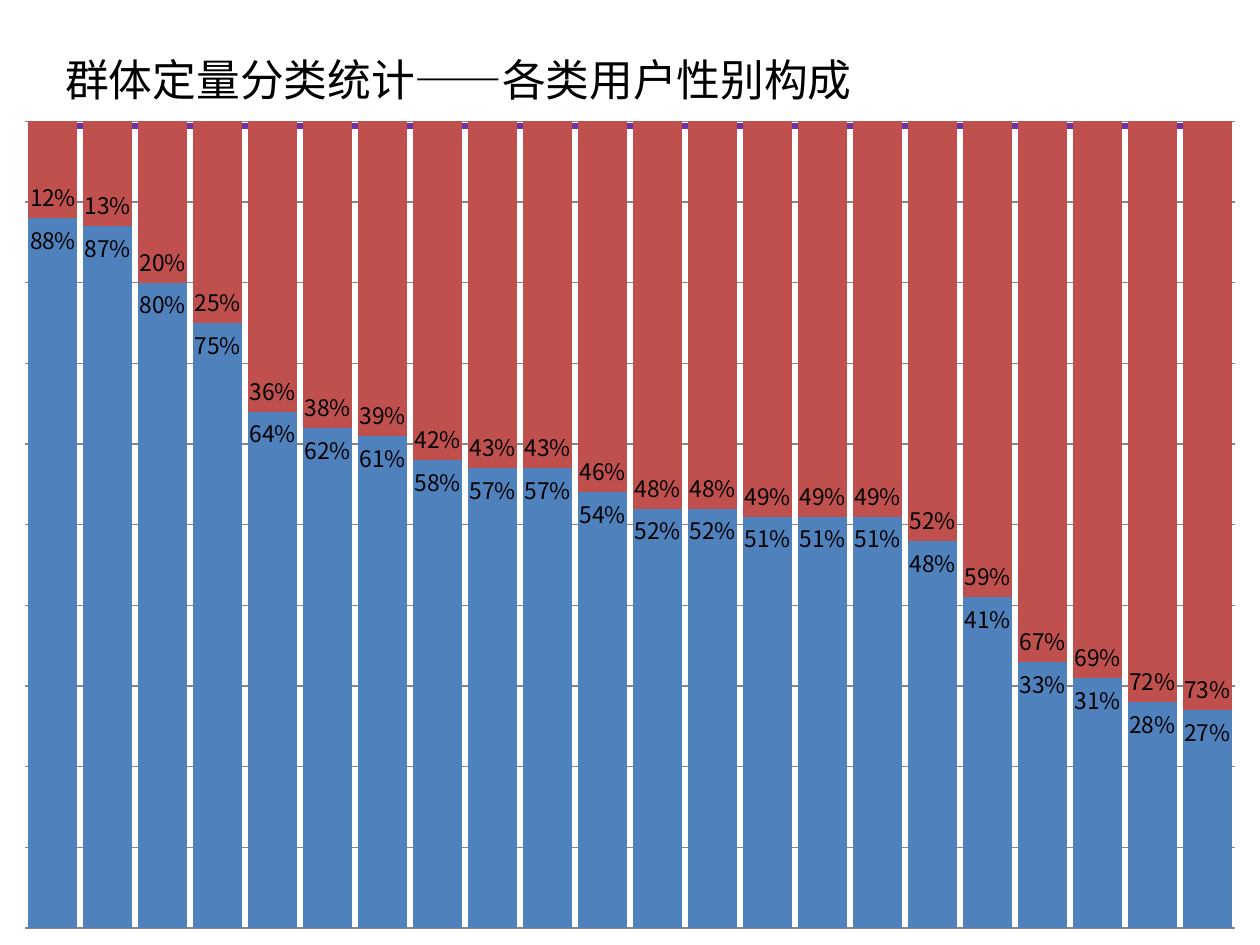
from lxml.etree import SubElement
from pptx import Presentation
from pptx.chart.data import CategoryChartData
from pptx.dml.color import RGBColor
from pptx.enum.chart import XL_CHART_TYPE, XL_LABEL_POSITION
from pptx.enum.shapes import MSO_CONNECTOR
from pptx.enum.text import MSO_ANCHOR
from pptx.oxml.ns import qn
from pptx.util import Inches, Pt

MALE_PERCENT = [88, 87, 80, 75, 64, 62, 61, 58, 57, 57, 54,
                52, 52, 51, 51, 51, 48, 41, 33, 31, 28, 27]


def color(hex_text):
    return RGBColor.from_string(hex_text)


def add_text(paragraph, text, *, font, size, fill):
    run = paragraph.add_run()
    run.text = text
    run.font.size = Pt(size)
    run.font.color.rgb = color(fill)
    run.font.name = font
    east_asian = SubElement(run._r.get_or_add_rPr(), qn("a:ea"))
    east_asian.set("typeface", font)


class SlideBuilder:
    font = "Noto Sans CJK SC"
    text_color = "000000"
    grid_color = "868686"

    def __init__(self, slide):
        self.slide = slide

    def line(self, left, top, right, bottom, stroke, width):
        connector = self.slide.shapes.add_connector(
            MSO_CONNECTOR.STRAIGHT,
            Inches(left), Inches(top), Inches(right), Inches(bottom))
        connector.line.color.rgb = color(stroke)
        connector.line.width = Pt(width)
        SubElement(connector._element.spPr, qn("a:effectLst"))

    def title(self, text, left, top, width, height, size):
        shape = self.slide.shapes.add_textbox(
            Inches(left), Inches(top), Inches(width), Inches(height))
        frame = shape.text_frame
        frame.word_wrap = True
        frame.vertical_anchor = MSO_ANCHOR.MIDDLE
        add_text(frame.paragraphs[0], text, font=self.font, size=size,
                 fill=self.text_color)

    def stacked_chart(self, categories, series_styles, left, top, width, height):
        data = CategoryChartData(number_format="0%")
        data.categories = categories
        for name, values, _, _ in series_styles:
            data.add_series(name, values)
        chart = self.slide.shapes.add_chart(
            XL_CHART_TYPE.COLUMN_STACKED, Inches(left), Inches(top),
            Inches(width), Inches(height), data).chart
        chart.has_title = False
        chart.has_legend = False
        chart.font.name = self.font
        chart.font.size = Pt(13)
        chart.font.color.rgb = color(self.text_color)
        chart.category_axis.visible = False
        axis = chart.value_axis
        axis.visible = False
        axis.minimum_scale = 0
        axis.maximum_scale = 1
        axis.major_unit = 0.1
        axis.has_major_gridlines = True
        axis.major_gridlines.format.line.color.rgb = color(self.grid_color)
        axis.major_gridlines.format.line.width = Pt(0.75)
        plot = chart.plots[0]
        plot.gap_width = 13
        plot.overlap = 100
        plot.vary_by_categories = False
        for series, (_, _, fill, position) in zip(plot.series, series_styles):
            series.format.fill.solid()
            series.format.fill.fore_color.rgb = color(fill)
            labels = series.data_labels
            labels.show_value = True
            labels.number_format = "0%"
            labels.number_format_is_linked = False
            labels.position = position


def main():
    presentation = Presentation()
    presentation.slide_width = Inches(10)
    presentation.slide_height = Inches(7.5)
    builder = SlideBuilder(
        presentation.slides.add_slide(presentation.slide_layouts[6]))

    builder.line(0.33, 1, 9.42, 1, "7030A0", 3.75)
    builder.title("群体定量分类统计——各类用户性别构成", 0.42, 0, 9, 1.25, 25)
    categories = [str(number) for number in range(1, len(MALE_PERCENT) + 1)]
    male = [value / 100 for value in MALE_PERCENT]
    female = [(100 - value) / 100 for value in MALE_PERCENT]
    builder.stacked_chart(
        categories,
        [("Series 1", male, "4F81BD", XL_LABEL_POSITION.INSIDE_END),
         ("Series 2", female, "C0504D", XL_LABEL_POSITION.INSIDE_BASE)],
        0, 0.83, 10, 6.67)

    presentation.save("out.pptx")


if __name__ == "__main__":
    main()
